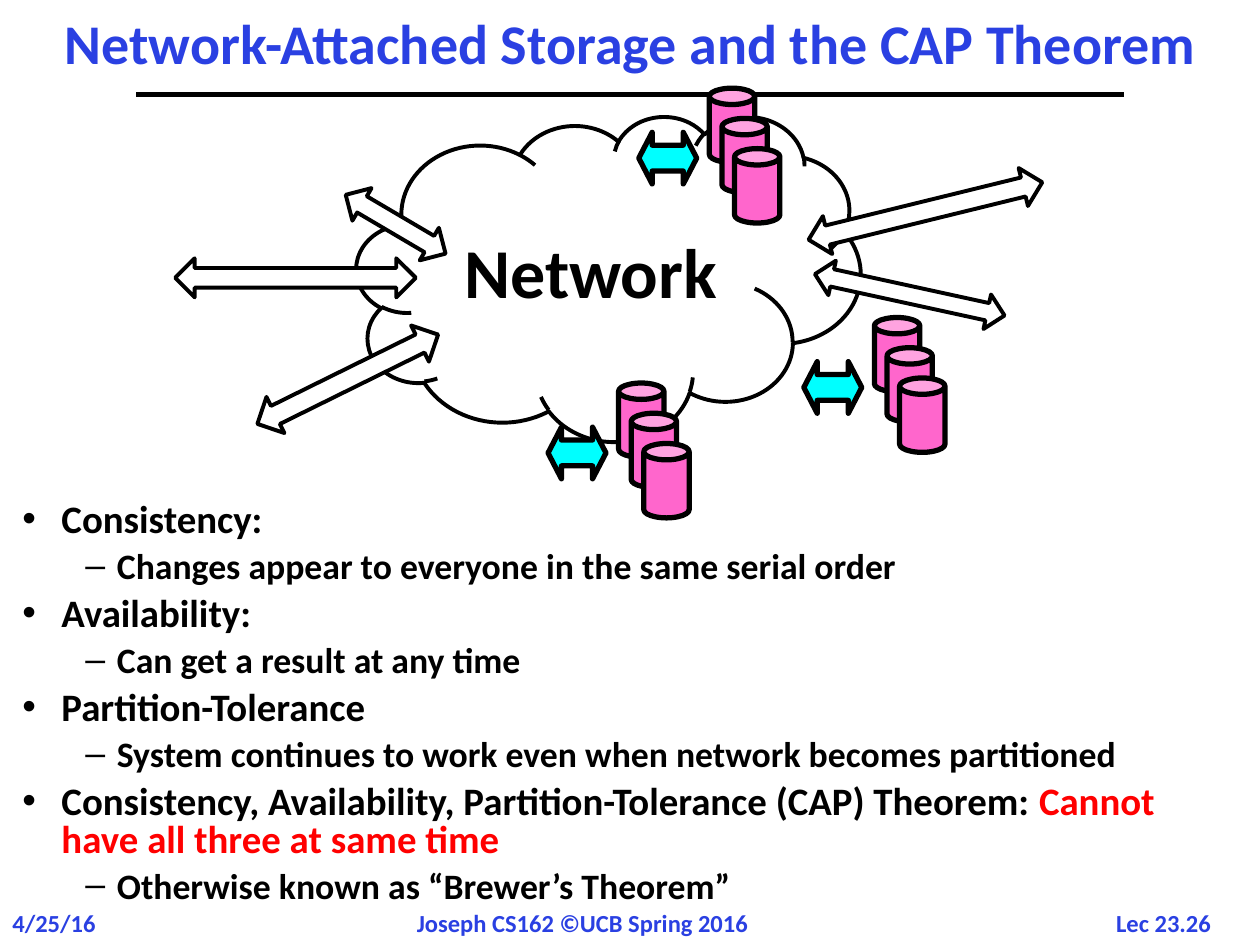
from lxml import etree
from pptx import Presentation
from pptx.dml.color import RGBColor
from pptx.enum.shapes import MSO_CONNECTOR, MSO_SHAPE
from pptx.enum.text import MSO_ANCHOR, MSO_AUTO_SIZE, PP_ALIGN
from pptx.oxml.ns import qn
from pptx.util import Inches, Pt

CAN = MSO_SHAPE.CAN
CLOUD = MSO_SHAPE.CLOUD
DOUBLE_ARROW = MSO_SHAPE.LEFT_RIGHT_ARROW
STRAIGHT = MSO_CONNECTOR.STRAIGHT
MIDDLE = MSO_ANCHOR.MIDDLE
NO_AUTOFIT = MSO_AUTO_SIZE.NONE
LEFT, CENTER = PP_ALIGN.LEFT, PP_ALIGN.CENTER

BLUE = RGBColor(0x2A, 0x40, 0xE2)
BLACK = RGBColor(0, 0, 0)
WHITE = RGBColor(0xFF, 0xFF, 0xFF)
RED = RGBColor(0xFF, 0, 0)
PINK = RGBColor(0xFF, 0x66, 0xCC)
CYAN = RGBColor(0, 0xFF, 0xFF)
FONT = "Calibri"

# Text, left, width, alignment
FOOTERS = [
    ("4/25/16", 0, 1.1, LEFT),
    ("Joseph CS162 ©UCB Spring 2016", 3.21, 2.87, LEFT),
    ("Lec 23.26", 8.72, 1.03, CENTER),
]

# Each paragraph: level and its (text, colour) runs
BULLETS = [
    (0, [("Consistency:", BLACK)]),
    (1, [("Changes appear to everyone in the same serial order", BLACK)]),
    (0, [("Availability:", BLACK)]),
    (1, [("Can get a result at any time", BLACK)]),
    (0, [("Partition-Tolerance", BLACK)]),
    (1, [("System continues to work even when network becomes partitioned", BLACK)]),
    (0, [("Consistency, Availability, Partition-Tolerance (CAP) Theorem: ", BLACK),
         ("Cannot have all three at same time", RED)]),
    (1, [("Otherwise known as “Brewer’s Theorem”", BLACK)]),
]
# By level: bullet, left margin, hanging indent, text size
LEVELS = [("•", 0.31, 0.31, 22.2), ("–", 0.75, 0.25, 20.4)]

STORAGE_ORIGINS = [(5.63, 0.7), (4.91, 3.04), (6.94, 2.52)]

# Left, top, width, height, rotation
CLIENT_ARROWS = [
    (1.39, 2.05, 1.91, 0.31, 0),
    (1.96, 2.85, 1.6, 0.32, 333.7),
    (2.68, 1.63, 0.92, 0.3, 30.5),
    (6.39, 1.52, 1.91, 0.31, 346.2),
    (6.45, 2.2, 1.54, 0.28, 12.3),
]


def add_run(paragraph, text, size, color):
    run = paragraph.add_run()
    run.text = text
    run.font.name = FONT
    run.font.size = Pt(size)
    run.font.bold = True
    run.font.color.rgb = color


def add_outlined_shape(shapes, kind, box, fill, line_width):
    shape = shapes.add_shape(kind, *map(Inches, box))
    shape.shadow.inherit = False
    shape.fill.solid()
    shape.fill.fore_color.rgb = fill
    shape.line.color.rgb = BLACK
    shape.line.width = Pt(line_width)
    return shape


def set_title(slide, text):
    title = slide.shapes.title
    title.left, title.top = Inches(0.17), Inches(0.08)
    title.width, title.height = Inches(9.67), Inches(0.58)
    frame = title.text_frame
    frame.auto_size = NO_AUTOFIT
    frame.vertical_anchor = MIDDLE
    paragraph = frame.paragraphs[0]
    paragraph.alignment = CENTER
    paragraph.line_spacing = 0.9
    add_run(paragraph, text, 32, BLUE)


def add_title_rule(slide):
    rule = slide.shapes.add_connector(
        STRAIGHT, Inches(1.08), Inches(0.75), Inches(8.92), Inches(0.75))
    rule.line.color.rgb = BLACK
    rule.line.width = Pt(3)
    etree.SubElement(rule.element.spPr, qn("a:effectLst"))


def add_footer(slide, text, left, width, alignment):
    box = slide.shapes.add_textbox(Inches(left), Inches(7.16), Inches(width), Inches(0.34))
    box.text_frame.word_wrap = True
    paragraph = box.text_frame.paragraphs[0]
    paragraph.alignment = alignment
    add_run(paragraph, text, 14, BLUE)


def set_bullet(paragraph, character, margin, hanging):
    properties = paragraph._p.get_or_add_pPr()
    properties.set("marL", str(Inches(margin)))
    properties.set("indent", str(-Inches(hanging)))
    etree.SubElement(properties, qn("a:buFont"), typeface="Arial")
    etree.SubElement(properties, qn("a:buChar"), char=character)


def add_bullets(slide):
    box = slide.shapes.add_textbox(Inches(0.08), Inches(3.95), Inches(9.83), Inches(3.46))
    frame = box.text_frame
    frame.word_wrap = True
    for index, (level, runs) in enumerate(BULLETS):
        paragraph = frame.add_paragraph() if index else frame.paragraphs[0]
        character, margin, hanging, size = LEVELS[level]
        paragraph.level = level
        set_bullet(paragraph, character, margin, hanging)
        paragraph.line_spacing = 0.8
        paragraph.space_before = Pt(6.4 if index else 0)
        for text, color in runs:
            add_run(paragraph, text, size, color)


def add_network_cloud(slide):
    cloud = add_outlined_shape(slide.shapes, CLOUD, (2.83, 0.92, 4, 2.58), WHITE, 2.25)
    frame = cloud.text_frame
    frame.vertical_anchor = MIDDLE
    frame.word_wrap = False
    paragraph = frame.paragraphs[0]
    paragraph.alignment = CENTER
    add_run(paragraph, "Network", 40, BLACK)


def add_storage(slide, left, top):
    """Three overlapping disks with a double arrow on their left, as one group."""
    group = slide.shapes.add_group_shape()
    for index in range(3):
        box = (left + 0.1 * index, top + 0.24 * index, 0.36, 0.59)
        disk = add_outlined_shape(group.shapes, CAN, box, PINK, 3)
        disk.adjustments[0] = 0.36
    arrow = add_outlined_shape(
        group.shapes, DOUBLE_ARROW, (left - 0.56, top + 0.35, 0.46, 0.41), CYAN, 3)
    arrow.adjustments[1] = 0.26


def main():
    presentation = Presentation()
    presentation.slide_width = Inches(10)
    presentation.slide_height = Inches(7.5)
    slide = presentation.slides.add_slide(presentation.slide_layouts[5])

    set_title(slide, "Network-Attached Storage and the CAP Theorem")
    add_title_rule(slide)
    for footer in FOOTERS:
        add_footer(slide, *footer)
    add_bullets(slide)
    add_network_cloud(slide)
    for origin in STORAGE_ORIGINS:
        add_storage(slide, *origin)
    for *box, rotation in CLIENT_ARROWS:
        arrow = add_outlined_shape(slide.shapes, DOUBLE_ARROW, box, WHITE, 2.25)
        arrow.rotation = rotation

    presentation.save("out.pptx")


if __name__ == "__main__":
    main()
